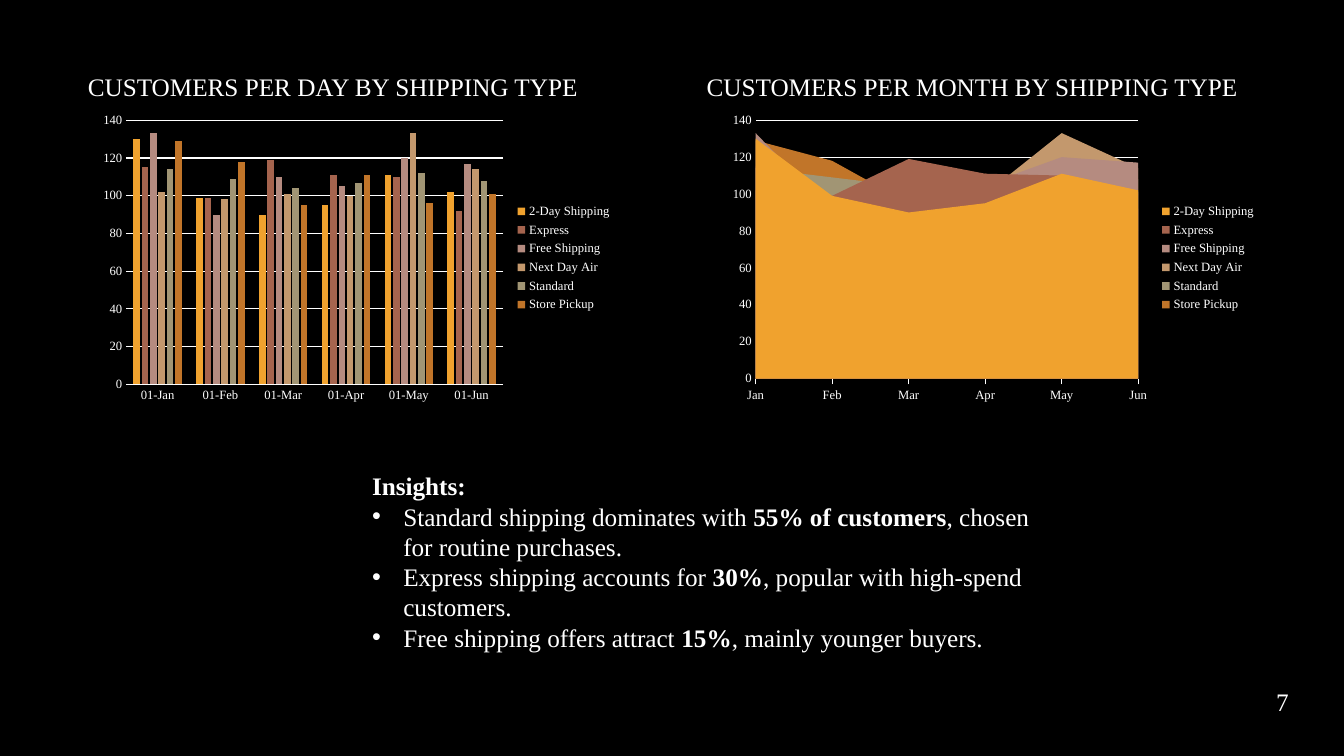
import pptx
import pptx.chart.data
import pptx.dml.color
import pptx.enum.chart
import pptx.enum.text
import pptx.oxml.ns
import pptx.oxml.xmlchemy
import pptx.util

CHART = pptx.enum.chart
TEXT = pptx.enum.text
QN = pptx.oxml.ns.qn
Pt = pptx.util.Pt
WIDE, HIGH = pptx.util.Inches(13.33), pptx.util.Inches(7.5)
INK = {"back": "000000", "text": "FFFFFF"}
SHIP = {
    "2-Day Shipping": ("F0A22E", (130, 99, 90, 95, 111, 102)),
    "Express": ("A5644E", (115, 99, 119, 111, 110, 92)),
    "Free Shipping": ("B58B80", (133, 90, 110, 105, 120, 117)),
    "Next Day Air": ("C3986D", (102, 98, 101, 100, 133, 114)),
    "Standard": ("A19574", (114, 109, 104, 107, 112, 108)),
    "Store Pickup": ("C17529", (129, 118, 95, 111, 96, 101)),
}
MONTHS = ("Jan", "Feb", "Mar", "Apr", "May", "Jun")
NOTES = (
    ("Standard shipping dominates with ", "55% of customers", ", chosen for routine purchases."),
    ("Express shipping accounts for ", "30%", ", popular with high-spend customers."),
    ("Free shipping offers attract ", "15%", ", mainly younger buyers."),
)


def put(item, form):
    """Set each attribute named in a dict of format values."""
    for name, value in form.items():
        setattr(item, name, value)


def tint(code):
    """Turn a hex string into a colour."""
    return pptx.dml.color.RGBColor.from_string(code)


def area(left, top, width, height):
    """Turn percentages of the slide into a dict of lengths."""
    return {
        "left": int(WIDE * left / 100),
        "top": int(HIGH * top / 100),
        "width": int(WIDE * width / 100),
        "height": int(HIGH * height / 100),
    }


def style(font, size, bold=False):
    """Give a font the face, size, weight and colour of the slide."""
    put(font, {"name": "Times New Roman", "size": Pt(size), "bold": bold})
    font.color.rgb = tint(INK["text"])


def node(tag, **attrs):
    """Make an XML element with attributes."""
    item = pptx.oxml.xmlchemy.OxmlElement(tag)
    for name, value in attrs.items():
        item.set(name, value)
    return item


def write(para, parts, bullet=False):
    """Fill a paragraph with (text, bold) runs, bulleted or plain."""
    put(para, {"alignment": TEXT.PP_ALIGN.LEFT, "space_before": Pt(0), "line_spacing": 1.0})
    props = para._p.get_or_add_pPr()
    inset = pptx.util.Inches(0.31) if bullet else 0
    props.set("marL", str(int(inset)))
    props.set("indent", str(-int(inset)))
    if bullet:
        props.append(node("a:buFont", typeface="Arial"))
        props.append(node("a:buChar", char="•"))
    else:
        props.append(node("a:buNone"))
    for text, bold in parts:
        run = para.add_run()
        run.text = text
        style(run.font, 18, bold)


def frame(shape, place):
    """Place a text shape and return its wrapped frame."""
    put(shape, place)
    body = shape.text_frame
    put(body, {
        "word_wrap": True,
        "auto_size": TEXT.MSO_AUTO_SIZE.NONE,
        "vertical_anchor": TEXT.MSO_ANCHOR.TOP,
    })
    return body


def label(shape, place, text):
    """Write one plain line in a text shape."""
    write(frame(shape, place).paragraphs[0], [(text, False)])


def list_notes(shape, place):
    """Write the insights heading and its bullets."""
    body = frame(shape, place)
    write(body.paragraphs[0], [("Insights:", True)])
    for lead, key, tail in NOTES:
        write(body.add_paragraph(), [(lead, False), (key, True), (tail, False)], True)


def plot(slide, kind, cats, place, tick):
    """Add a chart of customers by shipping type and return it."""
    data = pptx.chart.data.CategoryChartData()
    data.categories = cats
    for name, (code, vals) in SHIP.items():
        data.add_series(name, vals)
    chart = slide.shapes.add_chart(
        kind, place["left"], place["top"], place["width"], place["height"], data
    ).chart
    put(chart, {"has_title": False, "has_legend": True})
    style(chart.font, 10)
    put(chart.legend, {"position": CHART.XL_LEGEND_POSITION.RIGHT, "include_in_layout": False})
    style(chart.legend.font, 9)
    months, count = chart.category_axis, chart.value_axis
    put(months, {"major_tick_mark": tick, "has_major_gridlines": False})
    put(count, {
        "major_tick_mark": CHART.XL_TICK_MARK.NONE,
        "has_major_gridlines": True,
        "minimum_scale": 0,
        "maximum_scale": 140,
        "major_unit": 20,
    })
    for axis in (months, count):
        axis.minor_tick_mark = CHART.XL_TICK_MARK.NONE
        style(axis.tick_labels.font, 9)
    for line in (months.format.line, count.major_gridlines.format.line):
        line.width = Pt(0.75)
        line.color.rgb = tint(INK["text"])
    count.format.line.fill.background()
    chart.plots[0].vary_by_categories = False
    for row in chart.plots[0].series:
        row.format.fill.solid()
        row.format.fill.fore_color.rgb = tint(SHIP[row.name][0])
    return chart


def main():
    """Build and save the slide."""
    deck = pptx.Presentation()
    put(deck, {"slide_width": WIDE, "slide_height": HIGH})
    slide = deck.slides.add_slide(deck.slide_layouts[1])
    slide.background.fill.solid()
    slide.background.fill.fore_color.rgb = tint(INK["back"])
    tick = CHART.XL_TICK_MARK
    kind = CHART.XL_CHART_TYPE

    label(slide.shapes.title, area(5.78, 8.8, 44.19, 5.33), "CUSTOMERS PER DAY BY SHIPPING TYPE")
    label(slide.shapes.add_textbox(0, 0, 0, 0), area(51.84, 8.8, 41.19, 9.47),
          "CUSTOMERS PER MONTH BY SHIPPING TYPE")
    days = [f"01-{month}" for month in MONTHS]
    bars = plot(slide, kind.COLUMN_CLUSTERED, days, area(6.9, 14.13, 39.38, 40), tick.NONE)
    put(bars.plots[0], {"gap_width": 219, "overlap": -27})
    hills = plot(slide, kind.AREA, MONTHS, area(53.71, 14.13, 40.51, 40), tick.OUTSIDE)
    for cross in hills._chartSpace.iter(QN("c:crossBetween")):
        cross.set("val", "midCat")
    label(slide.shapes.add_textbox(0, 0, 0, 0), area(94.22, 90.13, 5.78, 5.33), "7")
    list_notes(slide.placeholders[1], area(26.93, 61.6, 50.49, 25.6))
    deck.save("out.pptx")


if __name__ == "__main__":
    main()
